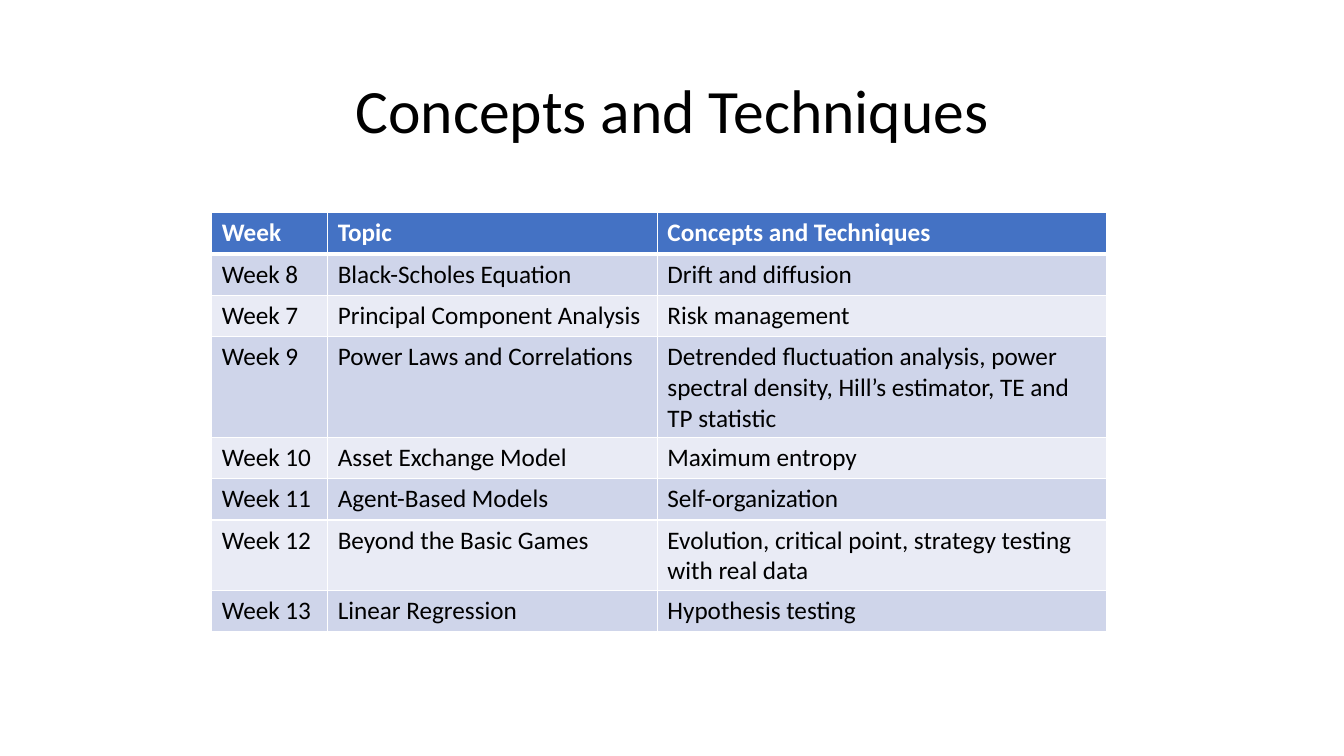
from lxml.etree import SubElement
from pptx import Presentation
from pptx.dml.color import RGBColor
from pptx.enum.text import MSO_ANCHOR, PP_ALIGN
from pptx.oxml.ns import qn
from pptx.util import Inches, Pt

# Content
TITLE = "Concepts and Techniques"
ROWS = [
    ("Week", "Topic", "Concepts and Techniques"),
    ("Week 8", "Black-Scholes Equation", "Drift and diffusion"),
    ("Week 7", "Principal Component Analysis", "Risk management"),
    ("Week 9", "Power Laws and Correlations",
     "Detrended fluctuation analysis, power spectral density, "
     "Hill’s estimator, TE and TP statistic"),
    ("Week 10", "Asset Exchange Model", "Maximum entropy"),
    ("Week 11", "Agent-Based Models", "Self-organization"),
    ("Week 12", "Beyond the Basic Games",
     "Evolution, critical point, strategy testing with real data"),
    ("Week 13", "Linear Regression", "Hypothesis testing"),
]

# Format
COLUMN_WIDTHS = (1.15, 3.27, 4.46)
ROW_HEIGHT = 0.41
HEADER_FILL, BAND_FILLS = "4472C4", ("CFD5EA", "E9EBF5")
BORDER_COLOR, THIN, THICK = "FFFFFF", 1, 3
TITLE_FONT = {"name": "Calibri", "size": Pt(44)}
HEADER_FONT = {"name": "Calibri", "size": Pt(18), "bold": True}
BODY_FONT = {**HEADER_FONT, "bold": False}


def paint(color_format, color):
    color_format.rgb = RGBColor.from_string(color)


def write(para, text, font, color):
    span = para.add_run()
    span.text = text
    for name, value in font.items():
        setattr(span.font, name, value)
    paint(span.font.color, color)


def add_borders(cell, row):
    widths = {
        "a:lnL": THIN,
        "a:lnR": THIN,
        "a:lnT": THICK if row == 1 else THIN,
        "a:lnB": THICK if row == 0 else THIN,
    }
    properties = cell._tc.get_or_add_tcPr()
    for side, width in widths.items():
        line = SubElement(properties, qn(side), w=str(Pt(width)))
        fill = SubElement(line, qn("a:solidFill"))
        SubElement(fill, qn("a:srgbClr"), val=BORDER_COLOR)


deck = Presentation()
deck.slide_width, deck.slide_height = Inches(13.33), Inches(7.5)
page = deck.slides.add_slide(deck.slide_layouts[6])

# Title
box = page.shapes.add_textbox(Inches(0.92), Inches(0.4), Inches(11.5), Inches(1.45))
box.text_frame.word_wrap = True
box.text_frame.vertical_anchor = MSO_ANCHOR.MIDDLE
para = box.text_frame.paragraphs[0]
para.alignment = PP_ALIGN.CENTER
para.line_spacing = 0.9
write(para, TITLE, TITLE_FONT, "000000")

# Schedule table
schedule = page.shapes.add_table(
    len(ROWS), len(COLUMN_WIDTHS), Inches(2.1), Inches(2.11),
    Inches(sum(COLUMN_WIDTHS)), Inches(ROW_HEIGHT * len(ROWS))).table
for column, width in zip(schedule.columns, COLUMN_WIDTHS):
    column.width = Inches(width)

for row, texts in enumerate(ROWS):
    schedule.rows[row].height = Inches(ROW_HEIGHT)
    if row == 0:
        fill, font, color = HEADER_FILL, HEADER_FONT, "FFFFFF"
    else:
        fill, font, color = BAND_FILLS[(row - 1) % 2], BODY_FONT, "000000"
    for column, text in enumerate(texts):
        cell = schedule.cell(row, column)
        add_borders(cell, row)
        cell.fill.solid()
        paint(cell.fill.fore_color, fill)
        write(cell.text_frame.paragraphs[0], text, font, color)

deck.save("out.pptx")
